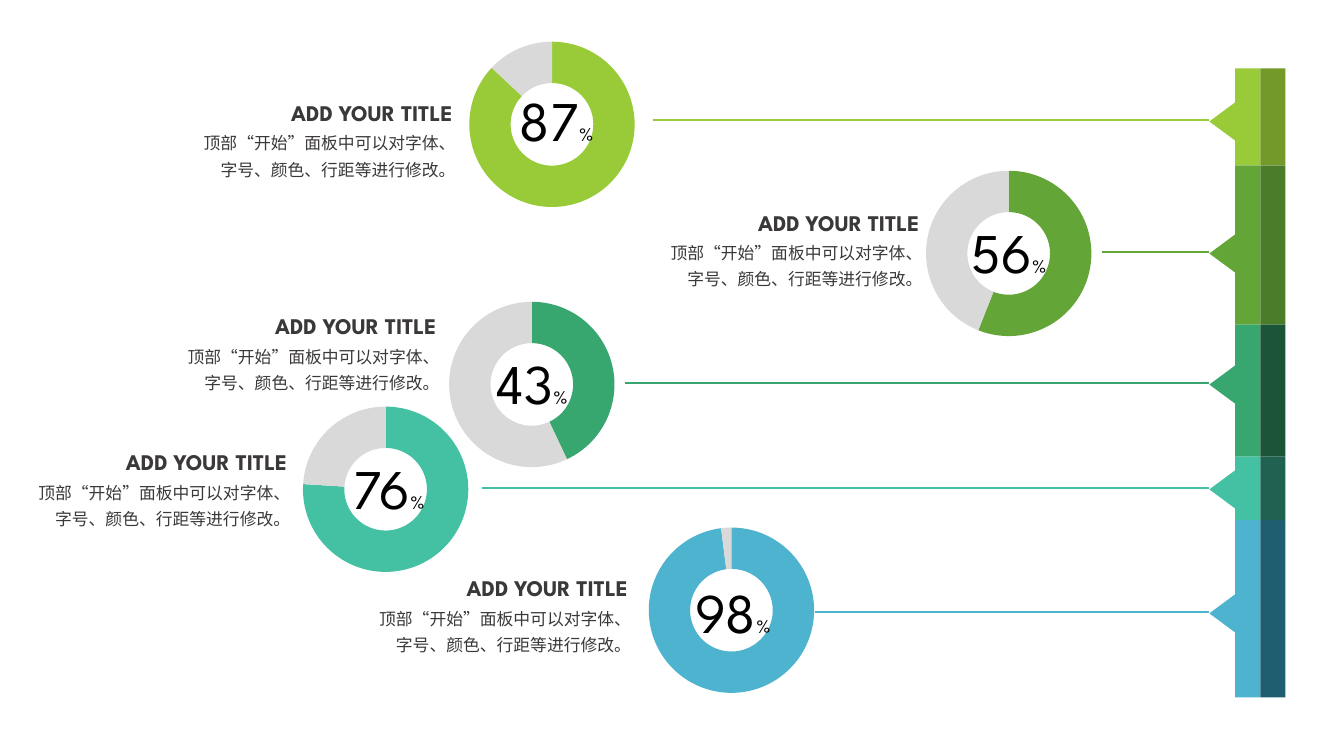
from dataclasses import dataclass

from lxml.etree import SubElement
from pptx import Presentation
from pptx.chart.data import CategoryChartData
from pptx.dml.color import RGBColor
from pptx.enum.chart import XL_CHART_TYPE
from pptx.enum.lang import MSO_LANGUAGE_ID
from pptx.enum.shapes import MSO_CONNECTOR, MSO_SHAPE
from pptx.enum.text import PP_ALIGN
from pptx.oxml import parse_xml
from pptx.oxml.ns import nsdecls, qn
from pptx.util import Inches, Pt

LATIN, CJK = "League Spartan", "Noto Sans CJK SC"
COLORS = {
    "lime": "99CB38", "lime_dark": "739A28",
    "green": "63A537", "green_dark": "4A7C29",
    "emerald": "37A76F", "emerald_dark": "1C5438",
    "teal": "44C1A3", "teal_dark": "206252",
    "blue": "4EB3CF", "blue_dark": "1E5E70",
    "rest": "D9D9D9", "text": "3B3838", "number": "000000",
}
TITLE = "ADD YOUR TITLE"
BODY = "顶部“开始”面板中可以对字体、字号、颜色、行距等进行修改。"
BAR_LEFT, BAR_TOP, BAR_WIDTH = 12.25, 0.68, 0.25
ARROW_LEFT = 11.99


@dataclass
class Item:
    color: str
    percent: int
    bar_height: float
    ring: tuple
    number_left: float
    line_start: float
    line_y: float
    caption: tuple


ITEMS = [
    Item("lime", 87, 0.96, (4.52, 0.26), 5.02, 6.48, 1.19, (1.9, 0.94)),
    Item("green", 56, 1.58, (9.05, 1.54), 9.51, 10.93, 2.5, (6.53, 2.03)),
    Item("emerald", 43, 1.31, (4.32, 2.84), 4.78, 6.2, 3.8, (1.74, 3.06)),
    Item("teal", 76, 0.63, (2.87, 3.88), 3.36, 4.78, 4.84, (0.26, 4.41)),
    Item("blue", 98, 1.76, (6.3, 5.08), 6.77, 8.08, 6.07, (3.64, 5.66)),
]


def rgb(name):
    return RGBColor.from_string(COLORS[name])


def add_ring(slide, left, top, percent, color):
    data = CategoryChartData()
    data.categories = ["1", "2"]
    data.add_series("Series 1", (percent, 100 - percent))
    chart = slide.shapes.add_chart(
        XL_CHART_TYPE.DOUGHNUT, Inches(left), Inches(top),
        Inches(1.91), Inches(1.93), data).chart
    chart.has_legend = chart.has_title = False
    chart.font.name, chart.font.size = LATIN, Pt(10)
    chart.font.color.rgb = rgb("number")
    plot = chart.plots[0]
    plot.vary_by_categories = True
    for i, name in enumerate((color, "rest")):
        fmt = plot.series[0].points[i].format
        fmt.fill.solid()
        fmt.fill.fore_color.rgb = rgb(name)
        fmt.line.fill.background()

    area = chart.element.find(".//" + qn("c:plotArea"))
    for old in area.findall(qn("c:layout")):
        area.remove(old)
    area.insert(0, parse_xml(
        f'<c:layout {nsdecls("c")}><c:manualLayout><c:layoutTarget val="inner"/>'
        '<c:xMode val="edge"/><c:yMode val="edge"/><c:x val="0.07"/><c:y val="0.08"/>'
        '<c:w val="0.86"/><c:h val="0.85"/></c:manualLayout></c:layout>'))
    area.find(".//" + qn("c:holeSize")).set("val", "75")


def add_block(slide, kind, box, color, rotation=0):
    sp = slide.shapes.add_shape(kind, *map(Inches, box))
    sp.shadow.inherit = False
    sp.fill.solid()
    sp.fill.fore_color.rgb = rgb(color)
    sp.line.fill.background()
    sp.rotation = rotation


def add_bar(slide, top, item):
    """Two-tone segment of the side bar with its pointer."""
    for i, color in enumerate((item.color, item.color + "_dark")):
        box = (BAR_LEFT + i * BAR_WIDTH, top, BAR_WIDTH, item.bar_height)
        add_block(slide, MSO_SHAPE.RECTANGLE, box, color)
    add_block(slide, MSO_SHAPE.ISOSCELES_TRIANGLE,
              (11.93, item.line_y - 0.12, 0.4, 0.27), item.color, 270)


def add_leader(slide, item):
    y = Inches(item.line_y)
    line = slide.shapes.add_connector(
        MSO_CONNECTOR.STRAIGHT, Inches(ARROW_LEFT), y, Inches(item.line_start), y)
    line.line.color.rgb = rgb(item.color)
    line.line.width = Pt(1.5)
    SubElement(line.element.spPr, qn("a:effectLst"))


def add_text(slide, box, align, inset=(0.07, 0.04), wrap=True):
    """Empty text box; returns its first paragraph."""
    tf = slide.shapes.add_textbox(*map(Inches, box)).text_frame
    tf.word_wrap = wrap
    tf.margin_left = tf.margin_right = Inches(inset[0])
    tf.margin_top = tf.margin_bottom = Inches(inset[1])
    p = tf.paragraphs[0]
    p.alignment = align
    return p


def style(font, name, size, color):
    font.name, font.size = name, Pt(size)
    font.color.rgb = rgb(color)


def add_number(slide, left, top, percent):
    p = add_text(slide, (left, top, 1, 0.77), PP_ALIGN.CENTER, (0.1, 0.05))
    for text, size in ((str(percent), 40), ("%", 14)):
        r = p.add_run()
        r.text = text
        style(r.font, LATIN, size, "number")


def add_caption(slide, left, top):
    p = add_text(slide, (left, top + 0.28, 2.69, 0.6), PP_ALIGN.RIGHT)
    p.line_spacing = 1.3
    r = p.add_run()
    r.text = BODY
    style(r.font, CJK, 12, "text")
    r.font.language_id = MSO_LANGUAGE_ID.SIMPLIFIED_CHINESE
    SubElement(r.font._element, qn("a:ea"), typeface=CJK)

    p = add_text(slide, (left + 0.83, top, 1.83, 0.35), PP_ALIGN.RIGHT, wrap=False)
    p.text = TITLE
    style(p.font, LATIN, 16, "text")
    p.font.bold = True


def main():
    prs = Presentation()
    prs.slide_width, prs.slide_height = Inches(13.33), Inches(7.5)
    slide = prs.slides.add_slide(prs.slide_layouts[6])
    for item in reversed(ITEMS):
        add_ring(slide, *item.ring, item.percent, item.color)
    top = BAR_TOP
    for item in ITEMS:
        add_bar(slide, top, item)
        top += item.bar_height
        add_leader(slide, item)
        add_number(slide, item.number_left, item.line_y - 0.39, item.percent)
        add_caption(slide, *item.caption)
    prs.save("out.pptx")


if __name__ == "__main__":
    main()
